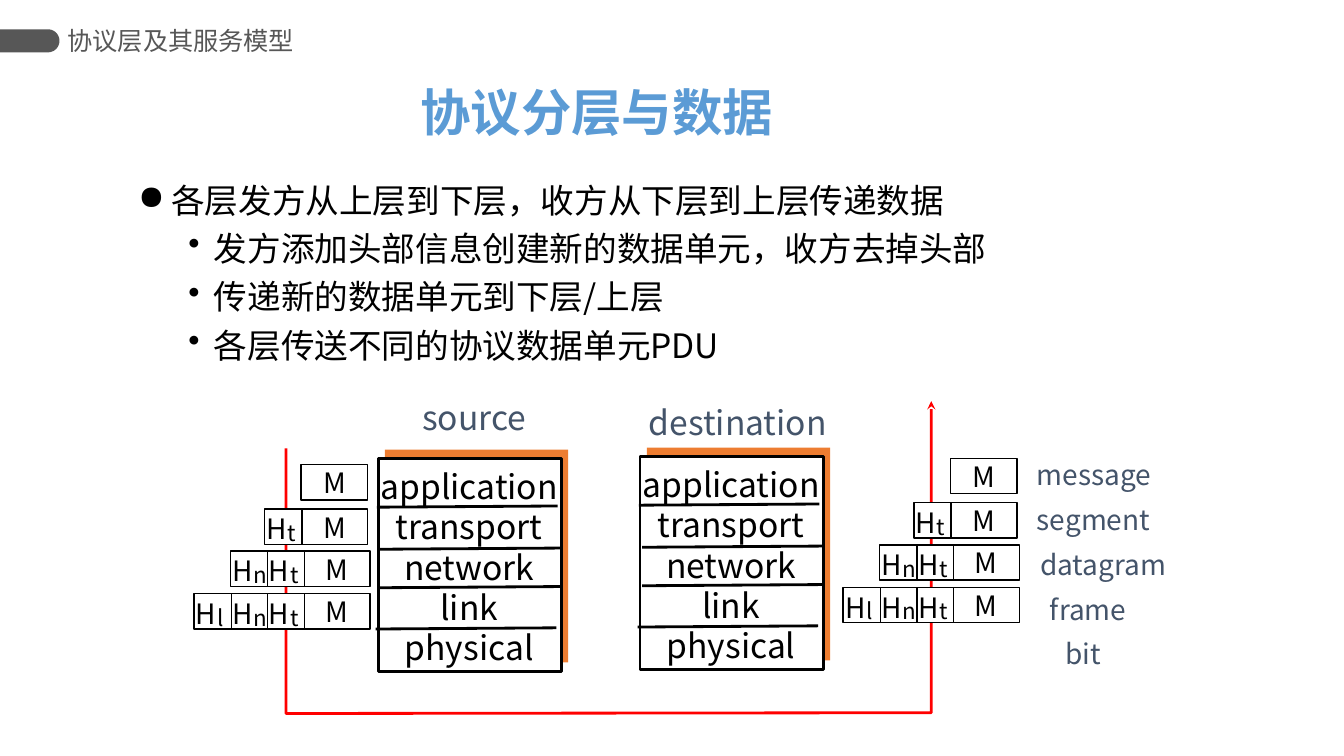
from math import cos, pi, sin
from lxml.etree import SubElement
from pptx import Presentation
from pptx.dml.color import RGBColor
from pptx.enum.shapes import MSO_CONNECTOR as Connector, MSO_SHAPE as Shape
from pptx.enum.text import MSO_ANCHOR as Anchor, MSO_AUTO_SIZE as AutoSize, PP_ALIGN as Align
from pptx.oxml.ns import qn
from pptx.util import Cm, Pt

FONT = "Noto Sans CJK SC"
COLORS = {"black": "000000", "white": "FFFFFF", "gray": "575757", "title": "5B9BD5",
          "label": "44546A", "orange": "ED7D31", "red": "FF0000"}

SECTION = "协议层及其服务模型"
TITLE = "协议分层与数据"
BULLETS = [
    (0, "各层发方从上层到下层，收方从下层到上层传递数据"),
    (1, "发方添加头部信息创建新的数据单元，收方去掉头部"),
    (1, "传递新的数据单元到下层/上层"),
    (1, "各层传送不同的协议数据单元PDU"),
]
BULLET_STYLES = [("●", 0.84, -0.84), ("•", 1.91, -0.64)]
LAYERS = ["application", "transport", "network", "link", "physical"]
STACKS = [(9.53, 11.56), (16.13, 11.51)]
STACK_SIZE = (4.62, 5.36)
DIVIDERS = [(-0.03, 1.22), (0.05, 2.28), (0.05, 3.25), (-0.06, 4.29)]
HOSTS = [("source", 10.39, 9.86, 3.2), ("destination", 16.1, 10.01, 5.11)]
ROUTE = [(7.21, 11.3), (7.21, 17.98), (23.47, 17.96), (23.47, 10.11)]
UNITS = [(7.59, 11.71, ""), (7.59, 12.83, "t"), (7.65, 13.89, "tn"), (7.65, 14.96, "tnl")]
UNIT_SHIFTS = [(0, 0), (16.36, -0.16)]
HEADER_STEP = 0.92
UNIT_NAMES = [("message", 25.88, 3.63), ("segment", 25.88, 3.63), ("datagram", 25.96, 3.81),
              ("frame", 26.21, 2.49), ("bit", 26.59, 1.42)]
UNIT_NAME_TOP, UNIT_NAME_STEP = 11.4, 1.13

deck = Presentation()
deck.slide_width, deck.slide_height = Cm(33.87), Cm(19.05)
page = deck.slides.add_slide(deck.slide_layouts[5])
shapes = page.shapes


def rgb(name):
    return RGBColor.from_string(COLORS[name])


def lengths(*values):
    return [Cm(value) for value in values]


def write(box, lines, size=24, color="black", bold=False, align=Align.LEFT,
          anchor=Anchor.TOP, wrap=True, grow=False, inset=0.25, spacing=None):
    frame = box.text_frame
    frame.auto_size = AutoSize.SHAPE_TO_FIT_TEXT if grow else AutoSize.NONE
    frame.word_wrap = wrap
    frame.vertical_anchor = anchor
    frame.margin_left = frame.margin_right = Cm(inset)
    frame.margin_top = frame.margin_bottom = Cm(0.13)
    for index, line in enumerate(lines):
        para = frame.add_paragraph() if index else frame.paragraphs[0]
        para.alignment = align
        if spacing:
            para.line_spacing = spacing
        span = para.add_run()
        span.text = line
        font = span.font
        font.name, font.size, font.bold = FONT, Pt(size), bold
        font.color.rgb = rgb(color)
        SubElement(span._r.get_or_add_rPr(), qn("a:ea"), typeface=FONT)
    return frame.paragraphs


def add_text(lines, left, top, width, height, **style):
    box = shapes.add_textbox(*lengths(left, top, width, height))
    return write(box, lines, **style)


def indent(para, margin, first=0.0):
    props = para._p.get_or_add_pPr()
    props.set("marL", str(Cm(margin)))
    props.set("indent", str(Cm(first)))
    return props


def paint(shape, fill=None, line=None, weight=1):
    shape.shadow.inherit = False
    if fill:
        shape.fill.solid()
        shape.fill.fore_color.rgb = rgb(fill)
    else:
        shape.fill.background()
    if line:
        shape.line.color.rgb = rgb(line)
        shape.line.width = Pt(weight)
    else:
        shape.line.fill.background()
    return shape


def add_rect(left, top, width, height, **look):
    return paint(shapes.add_shape(Shape.RECTANGLE, *lengths(left, top, width, height)), **look)


def add_outline(points, close, **look):
    points = [tuple(lengths(*point)) for point in points]
    builder = shapes.build_freeform(*points[0])
    builder.add_line_segments(points[1:], close=close)
    return paint(builder.convert_to_shape(), **look)


def add_divider(left, top):
    line = shapes.add_connector(Connector.STRAIGHT, *lengths(left, top, left + 4.55, top - 0.03))
    line.line.color.rgb = rgb("black")
    line.line.width = Pt(2)
    SubElement(line._element.spPr, qn("a:effectLst"))


def add_stack(left, top):
    width, height = STACK_SIZE
    add_rect(left + 0.17, top - 0.23, width, height, fill="orange")
    add_rect(left, top, width, height, fill="white", line="black", weight=2)
    for dx, dy in DIVIDERS:
        add_divider(left + dx, top + dy)
    add_text(LAYERS, left - 0.23, top + 0.05, 5.05, 5.38,
             align=Align.CENTER, wrap=False, grow=True)


def add_unit(left, top, headers):
    message = add_rect(left, top, 1.68, 0.89, fill="white", line="black")
    write(message, ["M"], size=20, align=Align.CENTER, anchor=Anchor.MIDDLE, wrap=False)
    for position, letter in enumerate(headers, 1):
        x = left - HEADER_STEP * position
        add_rect(x, top, 0.94, 0.89, fill="white", line="black")
        add_text(["H"], x - 0.2, top - 0.06, 0.86, 1.12, size=20, grow=True)
        add_text([letter], x + 0.33, top + 0.13, 0.81, 0.94, size=16, grow=True)


radius, center_x, center_y = 0.29, 1.21, 1.03
angles = [pi * step / 24 - pi / 2 for step in range(25)]
arc = [(center_x + radius * cos(a), center_y + radius * sin(a)) for a in angles]
add_outline([(0, center_y - radius), *arc, (0, center_y + radius)], True, fill="gray")
add_text([SECTION], 1.7, 0.48, 5.92, 1.07, size=18, color="gray", anchor=Anchor.MIDDLE, inset=0)

title = shapes.title
title.left, title.top, title.width, title.height = lengths(4.29, 2.08, 21.59, 1.65)
heading = write(title, [TITLE], size=36, color="title", bold=True,
                anchor=Anchor.MIDDLE, spacing=0.9)
indent(heading[0], 6.05)

bullets = add_text([line for _, line in BULLETS], 3.23, 4.19, 26.26, 4.78, spacing=1.2)
for para, (level, _) in zip(bullets, BULLETS):
    mark, margin, first = BULLET_STYLES[level]
    para.level = level
    SubElement(indent(para, margin, first), qn("a:buChar"), char=mark)

for corner in STACKS:
    add_stack(*corner)
for host, left, top, width in HOSTS:
    add_text([host], left, top, width, 1.3, color="label", wrap=False, grow=True)

route = add_outline(ROUTE, False, line="red", weight=2)
SubElement(route.line._get_or_add_ln(), qn("a:tailEnd"), type="stealth")

for dx, dy in UNIT_SHIFTS:
    for left, top, headers in UNITS:
        add_unit(left + dx, top + dy, headers)
for row, (name, left, width) in enumerate(UNIT_NAMES):
    add_text([name], left, UNIT_NAME_TOP + UNIT_NAME_STEP * row, width, 1.12,
             size=20, color="label", wrap=False, grow=True)

deck.save("out.pptx")
